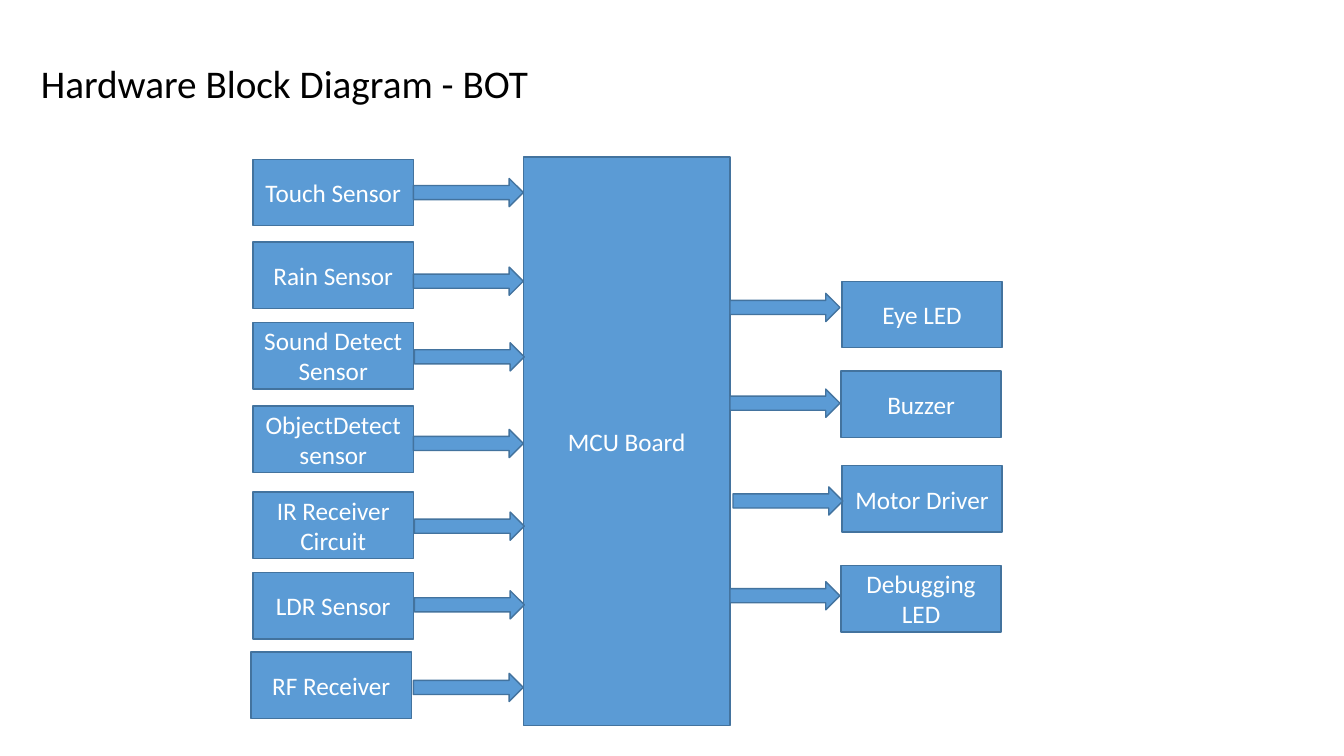
"""Hardware block diagram: sensors feed the controller board, which drives the outputs."""
from pptx import Presentation
from pptx.dml.color import RGBColor
from pptx.enum.shapes import MSO_SHAPE as Shape
from pptx.enum.text import MSO_ANCHOR as Anchor, PP_ALIGN as Align
from pptx.util import Inches, Pt

BLUE = RGBColor(0x5B, 0x9B, 0xD5)
EDGE = RGBColor(0x43, 0x73, 0x9E)
WHITE = RGBColor(0xFF, 0xFF, 0xFF)
BLACK = RGBColor(0, 0, 0)

BLOCK_W, BLOCK_H = 1.59, 0.66
ARROW_W, ARROW_H = 1.09, 0.28

deck = Presentation()
deck.slide_width, deck.slide_height = Inches(13.33), Inches(7.5)
slide = deck.slides.add_slide(deck.slide_layouts[6])


def write(shape, text, size=18, color=WHITE, anchor=Anchor.MIDDLE, spacing=1.0, inset=0.1):
    frame = shape.text_frame
    frame.word_wrap = True
    frame.vertical_anchor = anchor
    frame.margin_left = frame.margin_right = Inches(inset)
    frame.text = text
    for paragraph in frame.paragraphs:
        paragraph.alignment = Align.CENTER
        paragraph.line_spacing = spacing
        paragraph.font.size = Pt(size)
        paragraph.font.name = "Calibri"
        paragraph.font.color.rgb = color


def add_blue(kind, left, top, width, height):
    shape = slide.shapes.add_shape(kind, Inches(left), Inches(top), Inches(width), Inches(height))
    shape.shadow.inherit = False
    shape.fill.solid()
    shape.fill.fore_color.rgb = BLUE
    shape.line.color.rgb = EDGE
    shape.line.width = Pt(1)
    return shape


title = slide.shapes.add_textbox(Inches(0.29), Inches(0.31), Inches(5.06), Inches(0.8))
write(title, "Hardware Block Diagram - BOT", size=28, color=BLACK,
      anchor=Anchor.BOTTOM, spacing=0.9, inset=0.05)

controller = add_blue(Shape.RECTANGLE, 5.19, 1.56, 2.05, 5.64)
write(controller, "MCU Board")

sensors = [
    ("Touch Sensor", 2.51, 1.58, 4.1, 1.77),
    ("Rain Sensor", 2.51, 2.4, 4.1, 2.65),
    ("Sound Detect Sensor", 2.51, 3.2, 4.11, 3.4),
    ("ObjectDetect sensor", 2.51, 4.03, 4.1, 4.26),
    ("IR Receiver\nCircuit", 2.51, 4.88, 4.11, 5.08),
    ("LDR Sensor", 2.51, 5.68, 4.11, 5.86),
    ("RF Receiver", 2.49, 6.47, 4.1, 6.68),
]
outputs = [
    ("Eye LED", 8.35, 2.79, 7.24, 2.91),
    ("Buzzer", 8.34, 3.68, 7.24, 3.86),
    ("Motor Driver", 8.35, 4.62, 7.27, 4.83),
    ("Debugging LED", 8.34, 5.61, 7.24, 5.77),
]
for label, block_left, block_top, arrow_left, arrow_top in sensors + outputs:
    block = add_blue(Shape.RECTANGLE, block_left, block_top, BLOCK_W, BLOCK_H)
    write(block, label)
    add_blue(Shape.RIGHT_ARROW, arrow_left, arrow_top, ARROW_W, ARROW_H)

deck.save("out.pptx")
